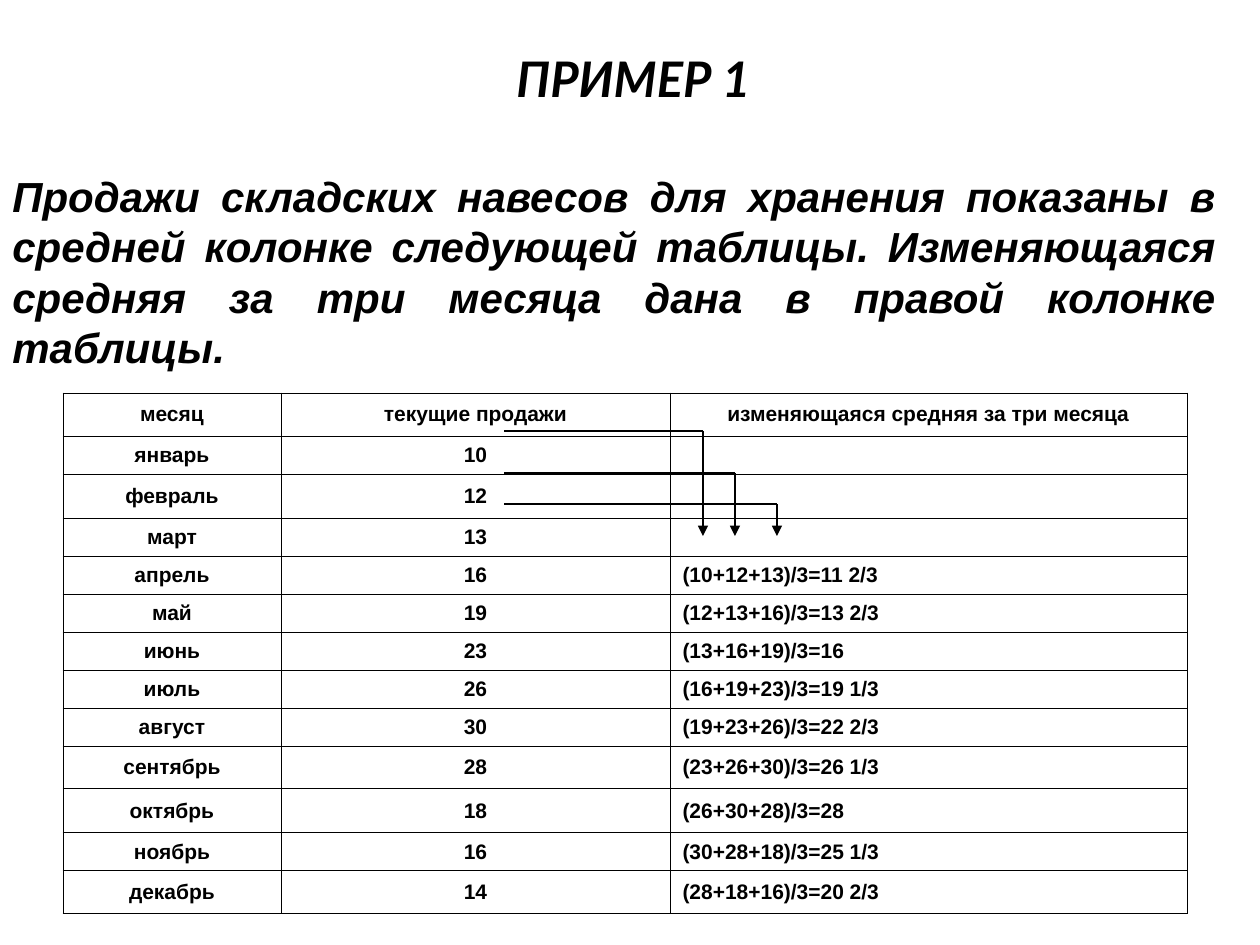
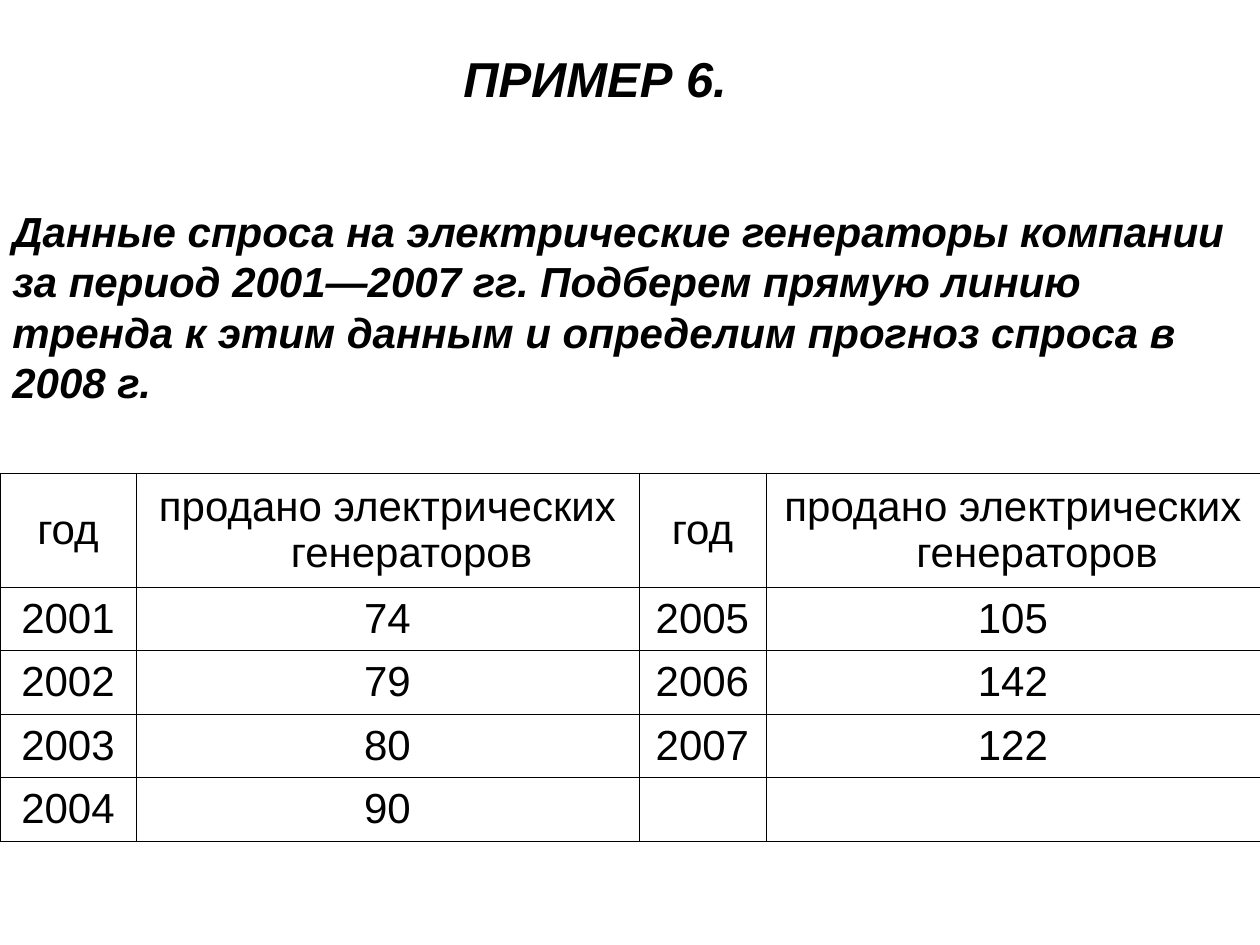
from lxml import etree
from pptx import Presentation
from pptx.dml.color import RGBColor
from pptx.enum.shapes import MSO_CONNECTOR
from pptx.enum.text import MSO_ANCHOR, PP_ALIGN
from pptx.oxml.ns import qn
from pptx.util import Emu, Pt

LEFT, CENTER, JUSTIFY = PP_ALIGN.LEFT, PP_ALIGN.CENTER, PP_ALIGN.JUSTIFY
MIDDLE = MSO_ANCHOR.MIDDLE
STRAIGHT = MSO_CONNECTOR.STRAIGHT

BLACK = "000000"
BODY_FONT = "Arial"
PX_PER_INCH = 126
BORDER_PT = 0.45
HANGING = 48

MONTHS = ["январь", "февраль", "март", "апрель", "май", "июнь", "июль",
          "август", "сентябрь", "октябрь", "ноябрь", "декабрь"]
MONTHLY_SALES = [10, 12, 13, 16, 19, 23, 26, 30, 28, 18, 16, 14]
AVERAGES = ["11 2/3", "13 2/3", "16", "19 1/3", "22 2/3",
            "26 1/3", "28", "25 1/3", "20 2/3"]
YEARLY_HEAD = ["год", "продано электрических генераторов"] * 2
YEARLY_SALES = [
    ["2001", "74", "2005", "105"],
    ["2002", "79", "2006", "142"],
    ["2003", "80", "2007", "122"],
    ["2004", "90", "", ""],
]


def px(n):
    return Emu(round(n * 914400 / PX_PER_INCH))


def color(value):
    return RGBColor.from_string(value)


# Text
def put_text(tf, text, size=24, font=BODY_FONT, bold=True, italic=False,
             align=LEFT, spacing=None):
    p = tf.paragraphs[0]
    p.alignment = align
    if spacing:
        p.line_spacing = Pt(spacing)
    if not text:
        etree.SubElement(p._p, qn("a:endParaRPr"), sz=str(size * 100))
        return p
    r = p.add_run()
    r.text = text
    r.font.size = Pt(size)
    r.font.name = font
    r.font.bold = bold
    r.font.italic = italic
    r.font.color.rgb = color(BLACK)
    return p


def add_text(slide, text, x, y, w, h, bottom=6, **fmt):
    tf = slide.shapes.add_textbox(px(x), px(y), px(w), px(h)).text_frame
    tf.word_wrap = True
    tf.vertical_anchor = MIDDLE
    tf.margin_bottom = px(bottom)
    put_text(tf, text, italic=True, **fmt)


def add_title(slide, text, x, w, h, **fmt):
    add_text(slide, text, x, 42, w, h, size=28, **fmt)


def add_body(slide, text, y, w, **fmt):
    add_text(slide, text, 0, y, w, 214, spacing=28.8, **fmt)


# Tables
def set_borders(cell):
    tc_pr = cell._tc.get_or_add_tcPr()
    for i, side in enumerate(("lnL", "lnR", "lnT", "lnB")):
        ln = etree.Element(qn("a:" + side), w=str(Pt(BORDER_PT)))
        fill = etree.SubElement(ln, qn("a:solidFill"))
        etree.SubElement(fill, qn("a:srgbClr"), val=BLACK)
        tc_pr.insert(i, ln)


def add_grid(slide, rows, x, y, widths, heights, aligns, **fmt):
    frame = slide.shapes.add_table(len(rows), len(widths), px(x), px(y),
                                   px(sum(widths)), px(sum(heights)))
    table = frame.table
    table.first_row = table.horz_banding = False
    for col, width in zip(table.columns, widths):
        col.width = px(width)
    for i, values in enumerate(rows):
        table.rows[i].height = px(heights[i])
        for j, value in enumerate(values):
            cell = table.cell(i, j)
            cell.vertical_anchor = MIDDLE
            cell.fill.background()
            set_borders(cell)
            p = put_text(cell.text_frame, value,
                         align=aligns[j] if i else CENTER, **fmt)
            p_pr = p._p.get_or_add_pPr()
            p_pr.set("marL", str(px(HANGING)))
            p_pr.set("indent", str(-px(HANGING)))


def monthly_rows():
    rows = [["месяц", "текущие продажи", "изменяющаяся средняя за три месяца"]]
    for i, (month, sold) in enumerate(zip(MONTHS, MONTHLY_SALES)):
        average = ""
        if i >= 3:
            terms = "+".join(str(n) for n in MONTHLY_SALES[i - 3:i])
            average = f"({terms})/3={AVERAGES[i - 3]}"
        rows.append([month, str(sold), average])
    return rows


# Lines
def add_line(slide, x1, y1, x2, y2, arrow=False):
    line = slide.shapes.add_connector(STRAIGHT, px(x1), px(y1), px(x2), px(y2))
    line.line.color.rgb = color(BLACK)
    line.line.width = Pt(0.75)
    if arrow:
        etree.SubElement(line.line._get_or_add_ln(), qn("a:tailEnd"),
                         type="triangle")
    etree.SubElement(line._element.spPr, qn("a:effectLst"))


def add_bent_arrow(slide, x, y, tip_x, tip_y):
    add_line(slide, x, y, tip_x, y)
    add_line(slide, tip_x, y, tip_x, tip_y, arrow=True)


# Slides
def build_moving_average(slide):
    add_title(slide, "ПРИМЕР 1", 504, 265, 66, font="Lato", bottom=0)
    add_body(slide, "Продажи складских навесов для хранения показаны в средней "
             "колонке следующей таблицы. Изменяющаяся средняя за три месяца "
             "дана в правой колонке таблицы.", 164, 1228, align=JUSTIFY)
    heights = [43, 38, 44] + [38] * 6 + [43, 44, 38, 43]
    add_grid(slide, monthly_rows(), 63, 393, [218, 389, 517], heights,
             [CENTER, CENTER, LEFT], size=12)
    for y, tip_x in ((431, 703), (473, 735), (504, 777)):
        add_bent_arrow(slide, 504, y, tip_x, 536)


def build_trend_data(slide):
    add_title(slide, "ПРИМЕР 6.", 451, 305, 72)
    add_body(slide, "Данные спроса на электрические генераторы компании за "
             "период 2001—2007 гг. Подберем прямую линию тренда к этим данным "
             "и определим прогноз спроса в 2008 г.", 199, 1260)
    add_grid(slide, [YEARLY_HEAD] + YEARLY_SALES, 0, 473,
             [136, 503, 127, 494], [114, 63, 64, 63, 64], [CENTER] * 4,
             bold=False)


def main():
    prs = Presentation()
    prs.slide_width, prs.slide_height = px(1260), px(945)
    for build in (build_moving_average, build_trend_data):
        build(prs.slides.add_slide(prs.slide_layouts[6]))
    prs.save("out.pptx")


if __name__ == "__main__":
    main()
